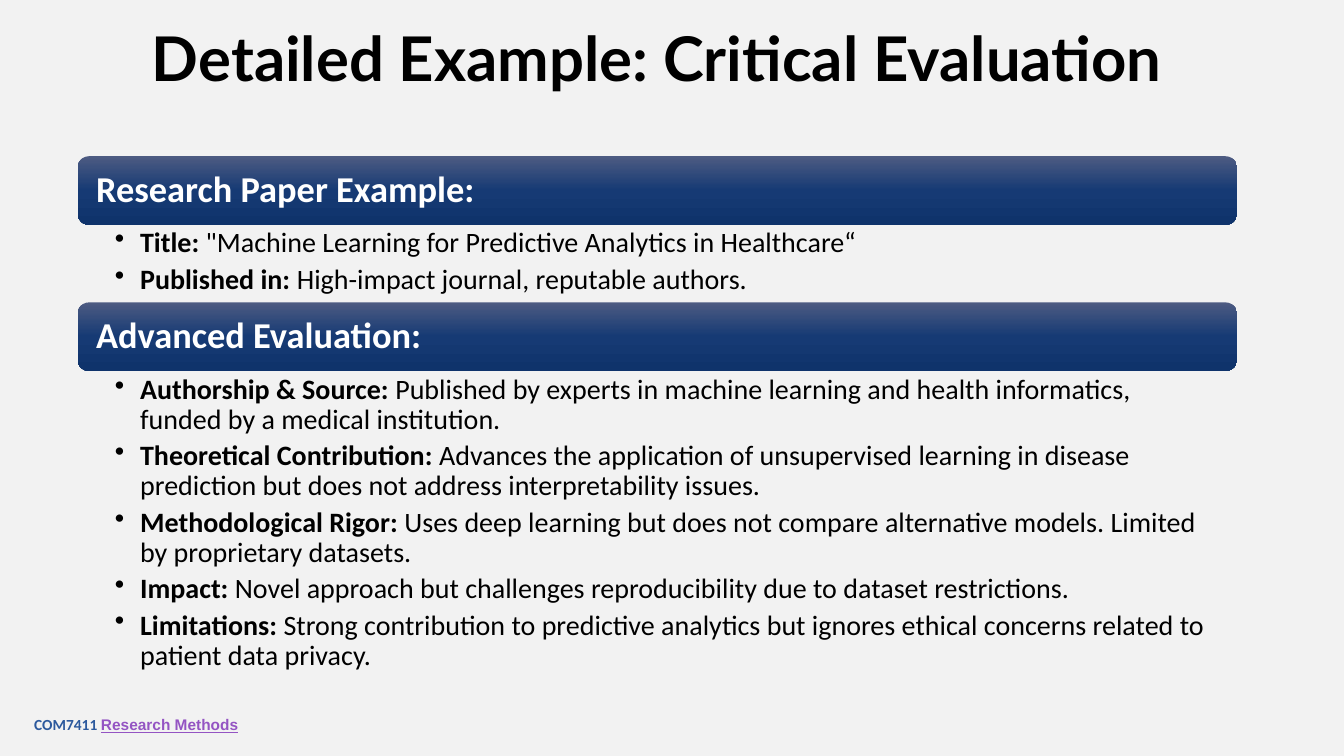
from lxml import etree
from pptx import Presentation
from pptx.dml.color import RGBColor
from pptx.enum.shapes import MSO_SHAPE
from pptx.enum.text import MSO_ANCHOR as Anchor, PP_ALIGN as Align
from pptx.oxml import parse_xml
from pptx.oxml.ns import nsdecls, qn
from pptx.util import Inches, Pt

TITLE = "Detailed Example: Critical Evaluation"
SECTIONS = [
    ("Research Paper Example:", 0.77, [
        ("Title: ", "\"Machine Learning for Predictive Analytics in Healthcare“"),
        ("Published in: ", "High-impact journal, reputable authors."),
    ]),
    ("Advanced Evaluation:", 3.12, [
        ("Authorship & Source: ", "Published by experts in machine learning and health "
         "informatics, funded by a medical institution."),
        ("Theoretical Contribution: ", "Advances the application of unsupervised learning in "
         "disease prediction but does not address interpretability issues."),
        ("Methodological Rigor: ", "Uses deep learning but does not compare alternative models. "
         "Limited by proprietary datasets."),
        ("Impact: ", "Novel approach but challenges reproducibility due to dataset restrictions."),
        ("Limitations: ", "Strong contribution to predictive analytics but ignores ethical "
         "concerns related to patient data privacy."),
    ]),
]
COURSE_CODE, COURSE_NAME = "COM7411 ", "Research Methods"

BLACK, WHITE, PAPER = "000000", "FFFFFF", "F2F2F2"
CODE_BLUE, LINK_PURPLE = "2C599D", "9454C3"
BAR_STOPS = [(0, "4D5B82"), (50, "163A74"), (100, "0F336B")]

LEFT, WIDTH = 0.77, 11.5
SECTIONS_TOP, BAR_HEIGHT = 1.55, 0.68
BULLET_INDENT = 0.25


def color(hex_code):
    return RGBColor.from_string(hex_code)


def set_frame(frame, anchor, insets=(0.1, 0.05, 0.1, 0.05)):
    frame.word_wrap = True
    frame.vertical_anchor = anchor
    (frame.margin_left, frame.margin_top,
     frame.margin_right, frame.margin_bottom) = map(Inches, insets)
    return frame


def add_text(left, top, width, height, anchor, **options):
    box = slide.shapes.add_textbox(*map(Inches, (left, top, width, height)))
    return set_frame(box.text_frame, anchor, **options)


def add_run(paragraph, text, size, hex_code, bold=True, font="Calibri"):
    run = paragraph.add_run()
    run.text = text
    run.font.size, run.font.name, run.font.bold = Pt(size), font, bold
    run.font.color.rgb = color(hex_code)
    return run


def fill_downward(shape, stops):
    """Fill a shape with a top-to-bottom gradient of (percent, colour) stops."""
    stop_xml = "".join(f'<a:gs pos="{percent * 1000}"><a:srgbClr val="{hex_code}"/></a:gs>'
                       for percent, hex_code in stops)
    gradient = parse_xml(f'<a:gradFill {nsdecls("a")} rotWithShape="1"><a:gsLst>{stop_xml}'
                         '</a:gsLst><a:lin ang="5400000" scaled="0"/></a:gradFill>')
    shape._element.spPr.find(qn("a:prstGeom")).addnext(gradient)


def add_bullet(paragraph):
    properties = paragraph._p.get_or_add_pPr()
    properties.set("marL", str(Inches(BULLET_INDENT)))
    properties.set("indent", str(-Inches(BULLET_INDENT)))
    etree.SubElement(properties, qn("a:buChar")).set("char", "•")


def add_bar(heading, top):
    bar = slide.shapes.add_shape(MSO_SHAPE.ROUNDED_RECTANGLE,
                                 *map(Inches, (LEFT, top, WIDTH, BAR_HEIGHT)))
    bar.shadow.inherit = False
    bar.line.fill.background()
    fill_downward(bar, BAR_STOPS)
    frame = set_frame(bar.text_frame, Anchor.MIDDLE, insets=(0.15, 0.11, 0.15, 0.11))
    paragraph = frame.paragraphs[0]
    paragraph.alignment, paragraph.line_spacing = Align.LEFT, 0.9
    add_run(paragraph, heading, 26, WHITE)


def add_points(points, top, height):
    frame = add_text(LEFT, top, WIDTH, height, Anchor.TOP, insets=(0.37, 0.04, 0.2, 0.04))
    for number, (label, detail) in enumerate(points):
        paragraph = frame.add_paragraph() if number else frame.paragraphs[0]
        add_bullet(paragraph)
        paragraph.level = 1
        paragraph.line_spacing, paragraph.space_after = 0.9, Pt(4.3)
        add_run(paragraph, label, 20, BLACK)
        add_run(paragraph, detail, 20, BLACK, bold=False)


deck = Presentation()
deck.slide_width, deck.slide_height = Inches(13.33), Inches(7.5)
slide = deck.slides.add_slide(deck.slide_layouts[6])
slide.background.fill.solid()
slide.background.fill.fore_color.rgb = color(PAPER)

footer = add_text(0.24, 6.99, 4.5, 0.4, Anchor.MIDDLE).paragraphs[0]
add_run(footer, COURSE_CODE, 11, CODE_BLUE)
add_run(footer, COURSE_NAME, 11, LINK_PURPLE, font="Arial").font.underline = True

title = add_text(LEFT, 0.23, WIDTH, 0.77, Anchor.MIDDLE).paragraphs[0]
title.alignment, title.line_spacing = Align.CENTER, 0.9
add_run(title, TITLE, 44, BLACK, font="Lato")

top = SECTIONS_TOP
for heading, points_height, points in SECTIONS:
    add_bar(heading, top)
    add_points(points, top + BAR_HEIGHT, points_height)
    top += BAR_HEIGHT + points_height

deck.save("out.pptx")
